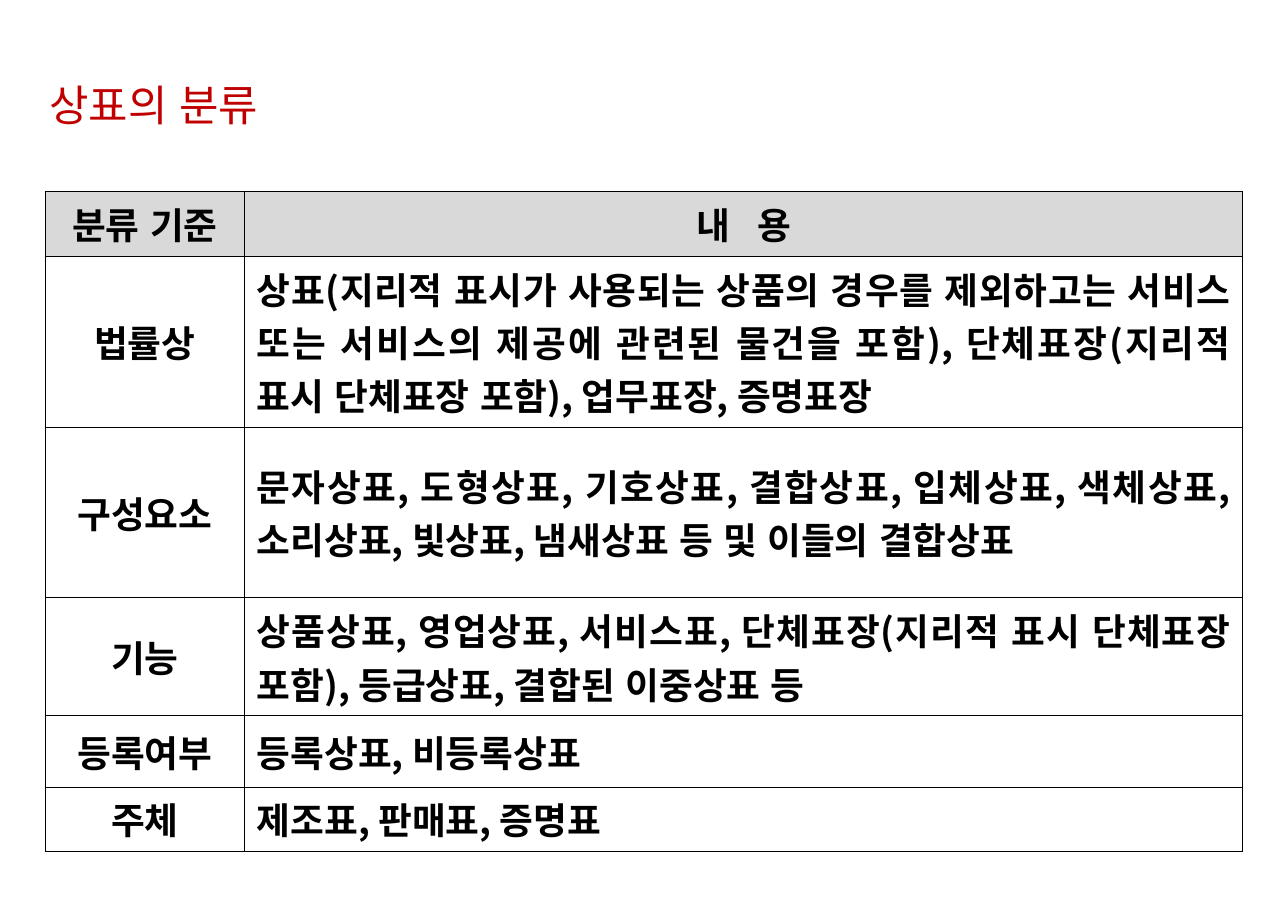
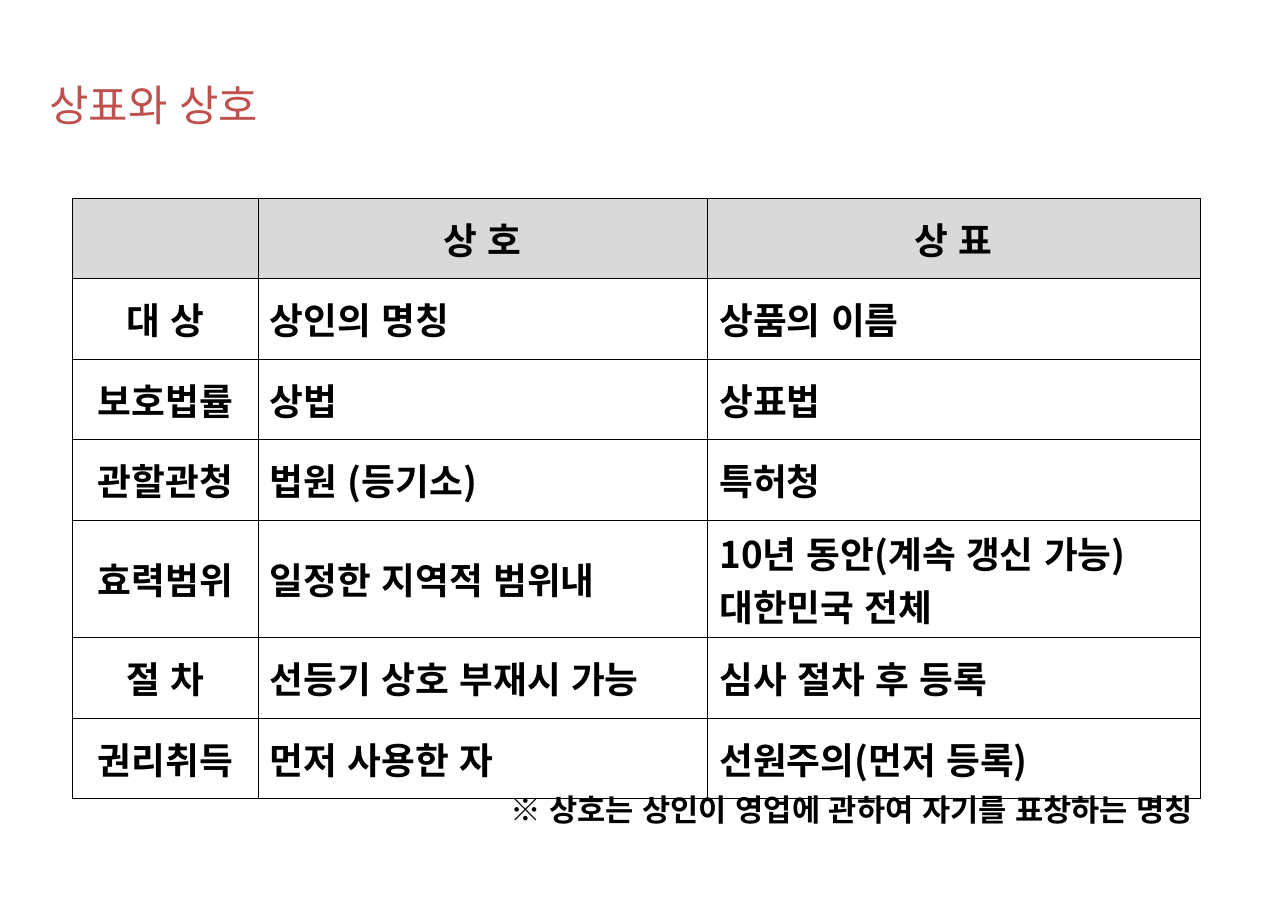
"""Build two slides that classify trademarks and compare them with trade names."""
from dataclasses import dataclass
from typing import Any, NamedTuple

from lxml.etree import SubElement as Sub
from pptx import Presentation as Deck
from pptx.dml.color import RGBColor as Rgb
from pptx.enum.lang import MSO_LANGUAGE_ID as Lang
from pptx.enum.text import MSO_ANCHOR as Anchor, MSO_AUTO_SIZE as Fit, PP_ALIGN as Align
from pptx.oxml import parse_xml as to_xml
from pptx.oxml.ns import nsdecls, qn
from pptx.util import Inches, Pt

WIDE, HIGH = Inches(11.69), Inches(8.27)
FONT = "Noto Sans CJK KR"
HUES = {"ink": "000000", "head": "D9D9D9", "deep": "C00000", "soft": "C0504D"}
EDGE = Pt(0.45)
GAP = 5.4
PAD = {"margin_left": Inches(0.11), "margin_right": Inches(0.11)}
TIGHT = {"line_spacing": 0.9}
FONTS: dict[str, dict[str, Any]] = {
    "title": {"size": Pt(28), "bold": False},
    "cell": {"size": Pt(24), "bold": True},
    "note": {"size": Pt(20), "bold": True},
}


class Box(NamedTuple):
    """Left, top, width and height in percent of the slide."""
    left: float
    top: float
    width: float
    height: float


@dataclass(frozen=True)
class Grid:
    """A table placed and sized in percent of the slide."""
    left: float
    top: float
    cols: list[float]
    rows: list[float]
    text: list[list[str]]
    spread: str = ""


@dataclass(frozen=True)
class Page:
    """One slide: its title, title hue, table and note."""
    title: str
    hue: str
    grid: Grid
    note: str = ""


TITLE = Box(2.91, 8.59, 94.27, 9.55)
NOTE = Box(11.98, 86.7, 81.52, 5.2)

PAGES = [
    Page("상표의 분류", "deep", Grid(
        3.51, 21.04, [15.48, 77.5], [7.04, 18.75, 18.75, 12.9, 7.86, 7.04],
        [
            ["분류 기준", "내 용"],
            ["법률상", "상표(지리적 표시가 사용되는 상품의 경우를 제외하고는 서비스 또는 "
             "서비스의 제공에 관련된 물건을 포함), 단체표장(지리적 표시 단체표장 포함), "
             "업무표장, 증명표장"],
            ["구성요소", "문자상표, 도형상표, 기호상표, 결합상표, 입체상표, 색체상표, "
             "소리상표, 빛상표, 냄새상표 등 및 이들의 결합상표"],
            ["기능", "상품상표, 영업상표, 서비스표, 단체표장(지리적 표시 단체표장 포함), "
             "등급상표, 결합된 이중상표 등"],
            ["등록여부", "등록상표, 비등록상표"],
            ["주체", "제조표, 판매표, 증명표"],
        ], spread="내 용")),
    Page("상표와 상호", "soft", Grid(
        5.65, 21.77, [14.37, 34.9, 38.24], [8.83] * 4 + [12.9] + [8.83] * 2,
        [
            ["", "상 호", "상 표"],
            ["대 상", "상인의 명칭", "상품의 이름"],
            ["보호법률", "상법", "상표법"],
            ["관할관청", "법원 (등기소)", "특허청"],
            ["효력범위", "일정한 지역적 범위내", "10년 동안(계속 갱신 가능)\n대한민국 전체"],
            ["절 차", "선등기 상호 부재시 가능", "심사 절차 후 등록"],
            ["권리취득", "먼저 사용한 자", "선원주의(먼저 등록)"],
        ]), "※ 상호는 상인이 영업에 관하여 자기를 표창하는 명칭"),
]


def across(share: float) -> int:
    """Turn a percent of the slide width into a length."""
    return round(WIDE * share / 100)


def down(share: float) -> int:
    """Turn a percent of the slide height into a length."""
    return round(HIGH * share / 100)


def place(box: Box) -> dict[str, int]:
    """Return a box as shape attributes."""
    return {"left": across(box.left), "top": down(box.top),
            "width": across(box.width), "height": down(box.height)}


def put(item: Any, vals: dict[str, Any]) -> None:
    """Set each named attribute on an object."""
    for key, val in vals.items():
        setattr(item, key, val)


def write(frame: Any, text: str, kind: str, hue: str, form: dict[str, Any],
          gap: float = 0) -> None:
    """Fill a text frame, one paragraph for each line."""
    for num, line in enumerate(text.split("\n")):
        para = frame.add_paragraph() if num else frame.paragraphs[0]
        put(para, form)
        run = para.add_run()
        run.text = line
        put(run.font, {"name": FONT, "language_id": Lang.KOREAN} | FONTS[kind])
        run.font.color.rgb = Rgb.from_string(HUES[hue])
        props = run._r.get_or_add_rPr()
        Sub(props, qn("a:ea"), typeface=FONT)
        if gap:
            props.set("spc", str(round(gap * 100)))


def rule(cell: Any) -> None:
    """Draw a thin line on all four sides of a cell."""
    props = cell._tc.get_or_add_tcPr()
    for num, side in enumerate("LRTB"):
        props.insert(num, to_xml(
            f'<a:ln{side} {nsdecls("a")} w="{EDGE}"><a:solidFill>'
            f'<a:srgbClr val="{HUES["ink"]}"/></a:solidFill></a:ln{side}>'))


def fill(cell: Any, text: str, head: bool, mid: bool, gap: float) -> None:
    """Format one cell and write its text."""
    put(cell, PAD | {"vertical_anchor": Anchor.MIDDLE})
    if head:
        cell.fill.solid()
        cell.fill.fore_color.rgb = Rgb.from_string(HUES["head"])
    else:
        cell.fill.background()
    rule(cell)
    if text:
        form = {"alignment": Align.CENTER if mid else Align.JUSTIFY}
        write(cell.text_frame, text, "cell", "ink", form, gap)


def tabulate(slide: Any, grid: Grid) -> None:
    """Add a table to the slide."""
    box = Box(grid.left, grid.top, sum(grid.cols), sum(grid.rows))
    table = slide.shapes.add_table(
        len(grid.rows), len(grid.cols), **place(box)).table
    put(table, {"first_row": False, "horz_banding": False})
    for col, share in zip(table.columns, grid.cols):
        col.width = across(share)
    for y, (row, share) in enumerate(zip(table.rows, grid.rows)):
        row.height = down(share)
        for x, text in enumerate(grid.text[y]):
            gap = GAP if text and text == grid.spread else 0
            fill(table.cell(y, x), text, y == 0, y == 0 or x == 0, gap)


def draw(deck: Any, page: Page) -> None:
    """Add one slide with its title, table and note."""
    slide = deck.slides.add_slide(deck.slide_layouts.get_by_name("Title Only"))
    title = slide.shapes.title
    put(title, place(TITLE))
    put(title.text_frame, PAD | {
        "margin_top": Inches(0.06), "margin_bottom": Inches(0.06),
        "vertical_anchor": Anchor.TOP, "auto_size": Fit.NONE, "word_wrap": True})
    write(title.text_frame, page.title, "title", page.hue,
          TIGHT | {"alignment": Align.LEFT})
    tabulate(slide, page.grid)
    if page.note:
        frame = slide.shapes.add_textbox(**place(NOTE)).text_frame
        put(frame, {"word_wrap": True, "auto_size": Fit.NONE})
        write(frame, page.note, "note", "ink", TIGHT | {"alignment": Align.RIGHT})


def main() -> None:
    """Build and save the deck."""
    deck = Deck()
    put(deck, {"slide_width": WIDE, "slide_height": HIGH})
    for page in PAGES:
        draw(deck, page)
    deck.save("out.pptx")


if __name__ == "__main__":
    main()
